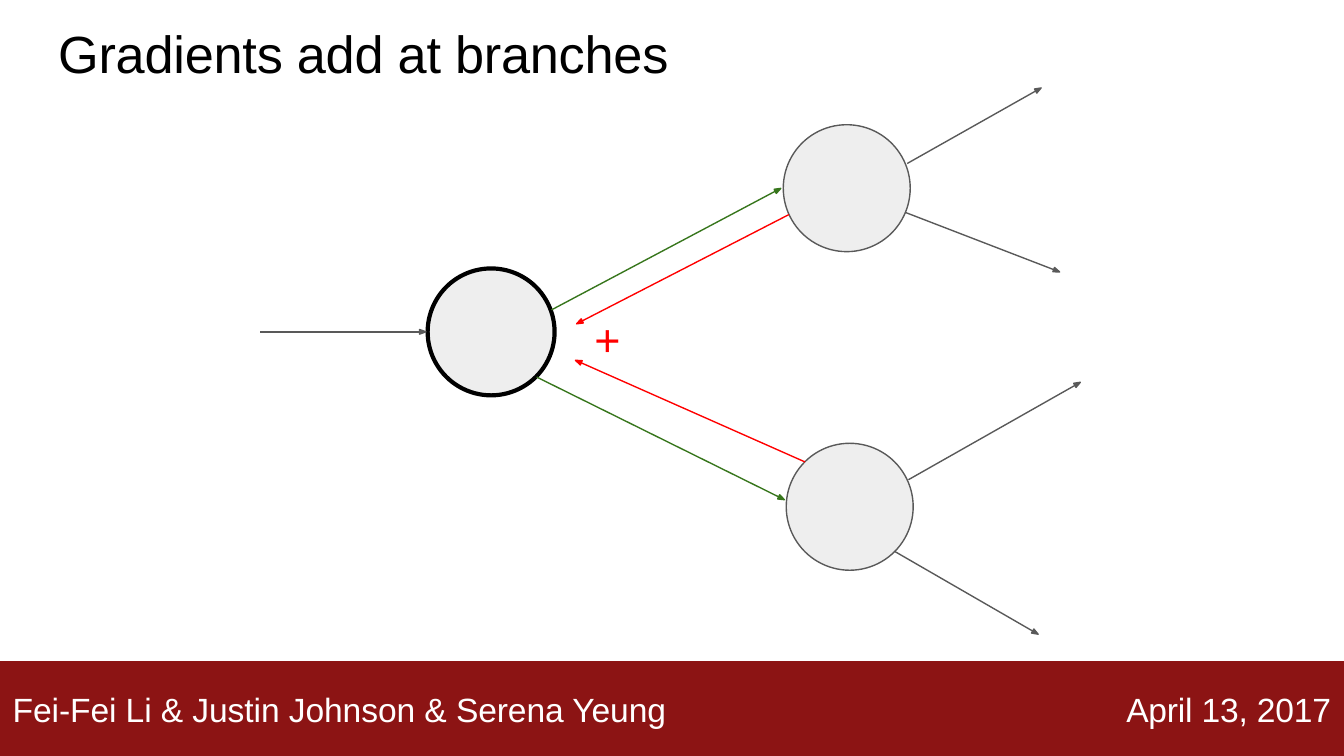
"""Build a slide showing how gradients add where a graph branches."""
from dataclasses import dataclass
from math import dist

from lxml import etree
from pptx import Presentation
from pptx import util as u
from pptx.dml.color import RGBColor
from pptx.enum import shapes, text
from pptx.oxml.ns import qn

COLOURS = {
    "band": "8C1414",
    "node": "EEEEEE",
    "grey": "595959",
    "forward": "37761C",
    "backward": "FF0000",
    "black": "000000",
    "white": "FFFFFF",
}
PAGE_WIDTH, PAGE_HEIGHT = 720, 405
BAND_TOP = 355.5
DIAMETER = 68
HEAD_LENGTH, HEAD_WIDTH = 3.4, 2.5


@dataclass(frozen=True)
class Node:
    x: float
    y: float
    outline: str = "grey"
    weight: float = 0.75


@dataclass(frozen=True)
class Arrow:
    start: tuple[float, float]
    tip: tuple[float, float]
    colour: str = "grey"


NODES = [
    Node(263.1, 177.8, "black", 2.25),
    Node(453.6, 100.8),
    Node(455.2, 271.5),
]
ARROWS = [
    Arrow((139.4, 177.8), (228.2, 177.8)),
    Arrow((295.5, 166), (418.3, 100.9), "forward"),
    Arrow((287.5, 202), (420.2, 267.7), "forward"),
    Arrow((422.6, 115), (308.9, 173.5), "backward"),
    Arrow((431.3, 247.5), (308.3, 193), "backward"),
    Arrow((486, 87.6), (557.8, 47.1)),
    Arrow((485, 113.8), (567.7, 145.7)),
    Arrow((486.7, 257), (578.8, 204.8)),
    Arrow((479.3, 295.4), (556.2, 339.8)),
]


def colour(name: str) -> RGBColor:
    """Return a named colour."""
    return RGBColor.from_string(COLOURS[name])


def paint(shape, fill: str, outline: str, weight: float = 0.75) -> None:
    """Give a shape a plain fill and outline."""
    shape.shadow.inherit = False
    shape.fill.solid()
    shape.fill.fore_color.rgb = colour(fill)
    shape.line.color.rgb = colour(outline)
    shape.line.width = u.Pt(weight)


def add_band(page) -> None:
    """Draw the footer band."""
    band = page.shapes.add_shape(
        shapes.MSO_SHAPE.RECTANGLE, 0, u.Pt(BAND_TOP),
        u.Pt(PAGE_WIDTH), u.Pt(PAGE_HEIGHT - BAND_TOP),
    )
    paint(band, "band", "band", 3)


def add_node(page, node: Node) -> None:
    """Draw a graph node around its centre."""
    circle = page.shapes.add_shape(
        shapes.MSO_SHAPE.OVAL,
        u.Pt(node.x - DIAMETER / 2), u.Pt(node.y - DIAMETER / 2),
        u.Pt(DIAMETER), u.Pt(DIAMETER),
    )
    paint(circle, "node", node.outline, node.weight)


def add_arrow(page, arrow: Arrow) -> None:
    """Draw a straight line that ends in a slim outlined triangle."""
    (x, y), (tip_x, tip_y) = arrow.start, arrow.tip
    length = dist(arrow.start, arrow.tip)
    across, down = (tip_x - x) / length, (tip_y - y) / length
    base_x, base_y = tip_x - HEAD_LENGTH * across, tip_y - HEAD_LENGTH * down
    connector = page.shapes.add_connector(
        shapes.MSO_CONNECTOR.STRAIGHT,
        u.Pt(x), u.Pt(y), u.Pt(base_x), u.Pt(base_y),
    )
    connector.line.color.rgb = colour(arrow.colour)
    connector.line.width = u.Pt(0.75)
    etree.SubElement(connector._element.spPr, qn("a:effectLst"))
    corners = [
        (u.Pt(base_x - side * down), u.Pt(base_y + side * across))
        for side in (HEAD_WIDTH / 2, -HEAD_WIDTH / 2)
    ]
    builder = page.shapes.build_freeform(u.Pt(tip_x), u.Pt(tip_y))
    builder.add_line_segments(corners, close=True)
    paint(builder.convert_to_shape(), arrow.colour, arrow.colour)


def add_text(page, words: str, *, left: float, top: float, width: float,
             height: float, size: float, fill: str, tracking: float = 0,
             align=text.PP_ALIGN.LEFT, leading: float | None = None) -> None:
    """Place one line of text in a box without margins."""
    box = page.shapes.add_textbox(u.Pt(left), u.Pt(top), u.Pt(width), u.Pt(height))
    frame = box.text_frame
    frame.word_wrap = True
    frame.margin_left = frame.margin_top = frame.margin_right = frame.margin_bottom = 0
    para = frame.paragraphs[0]
    para.alignment = align
    if leading is not None:
        para.line_spacing = u.Pt(leading)
    span = para.add_run()
    span.text = words
    span.font.name = "Arial"
    span.font.size = u.Pt(size)
    span.font.color.rgb = colour(fill)
    span._r.get_or_add_rPr().set("spc", str(round(tracking * 100)))


def main() -> None:
    """Build and save the deck."""
    deck = Presentation()
    deck.slide_width, deck.slide_height = u.Pt(PAGE_WIDTH), u.Pt(PAGE_HEIGHT)
    page = deck.slides.add_slide(deck.slide_layouts[6])
    add_band(page)
    for node in NODES:
        add_node(page, node)
    for arrow in ARROWS:
        add_arrow(page, arrow)
    add_text(page, "+", left=318.5, top=167, width=16, height=30, size=24,
             fill="backward")
    footer = dict(top=370, height=22, size=18, fill="white", leading=20.9)
    add_text(page, "Fei-Fei Li & Justin Johnson & Serena Yeung",
             left=6.8, width=356, tracking=-0.05, **footer)
    add_text(page, "April 13, 2017", left=599, width=114, tracking=-0.1,
             align=text.PP_ALIGN.RIGHT, **footer)
    add_text(page, "Gradients add at branches", left=31.2, top=11.4,
             width=332, height=35, size=28, fill="black", tracking=-0.1)
    deck.save("out.pptx")


if __name__ == "__main__":
    main()
